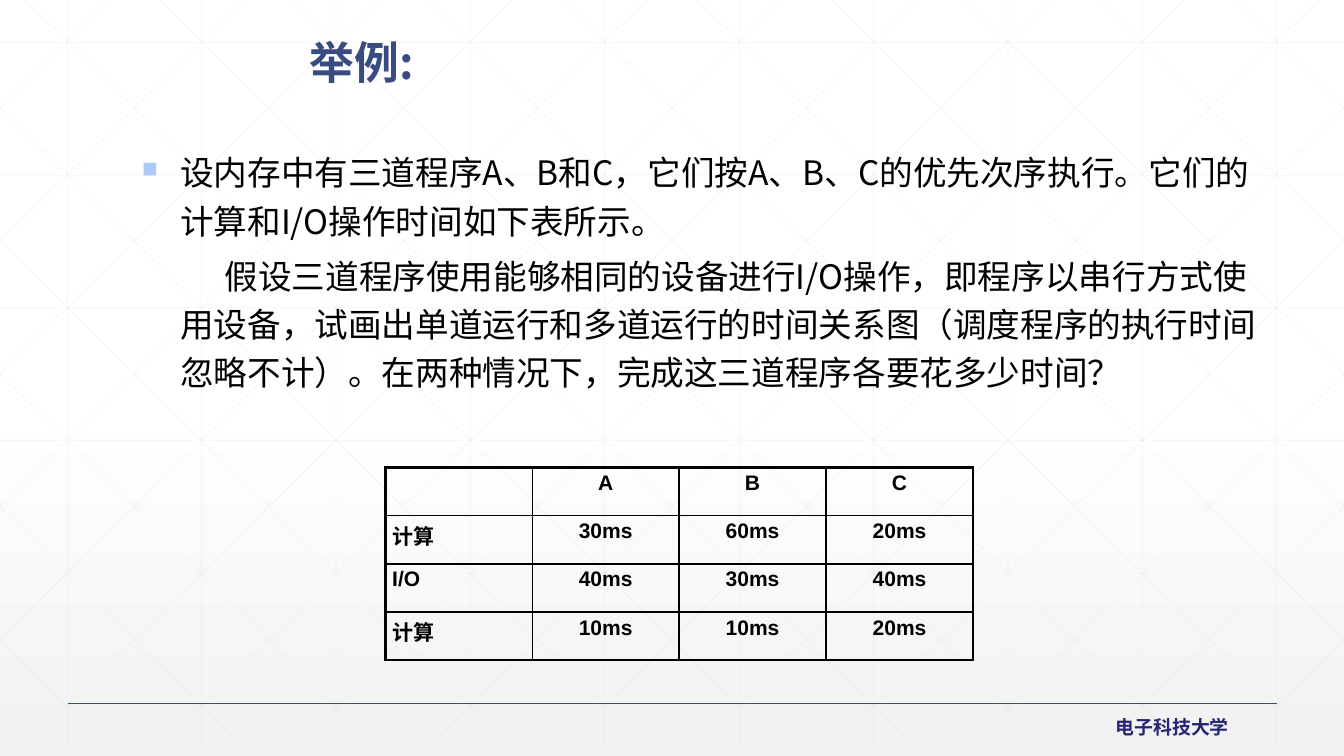
"""Build a slide that poses a multiprogramming exercise with a table of run times."""
from dataclasses import dataclass

from lxml import etree
from pptx import Presentation
from pptx.dml.color import RGBColor
from pptx.enum.shapes import MSO_CONNECTOR
from pptx.enum.text import MSO_ANCHOR, PP_ALIGN
from pptx.oxml import parse_xml
from pptx.oxml.ns import nsdecls, qn
from pptx.util import Inches, Pt

LEFT, CENTER = PP_ALIGN.LEFT, PP_ALIGN.CENTER
TOP, MIDDLE = MSO_ANCHOR.TOP, MSO_ANCHOR.MIDDLE
STRAIGHT = MSO_CONNECTOR.STRAIGHT

TITLE = "举例:"
QUESTION = [
    {"text": "设内存中有三道程序A、B和C，它们按A、B、C的优先次序执行。它们的计算和I/O操作时间如下表所示。",
     "bullet": "■", "indent": -0.38},
    {"text": "假设三道程序使用能够相同的设备进行I/O操作，即程序以串行方式使用设备，试画出单道运行和多道运行的"
             "时间关系图（调度程序的执行时间忽略不计）。在两种情况下，完成这三道程序各要花多少时间？",
     "indent": 0.44, "before": 4.8},
]
TIMES = [
    ["", "A", "B", "C"],
    ["计算", "30ms", "60ms", "20ms"],
    ["I/O", "40ms", "30ms", "40ms"],
    ["计算", "10ms", "10ms", "20ms"],
]
SCHOOL = "电子科技大学"


@dataclass(frozen=True)
class Theme:
    """Colours, fonts and sizes."""
    cjk: str = "Noto Sans CJK SC"
    latin: str = "Arial"
    accent: str = "384C81"
    footer: str = "262673"
    ink: str = "000000"
    bullet: str = "ACCBF9"
    mesh: str = "D9D9D9"
    page: str = "FFFFFF"
    shade: str = "F2F2F2"
    title_size: float = 32
    body_size: float = 24
    cell_size: float = 15
    footer_size: float = 13.5
    thin: float = 1
    rule: float = 1.25
    thick: float = 2.25


THEME = Theme()
WIDTH, HEIGHT = 13.33, 7.5
MESH_BOTTOM = 7.37
MESH_STEP = WIDTH / 10
MESH_ROW = 1.316
DIAGONAL_START, DIAGONAL_RUN = 0.25, 7.45


def write(frame, text, *, size, font=THEME.cjk, color=THEME.ink, bold=False, align=LEFT,
          spacing=1.0, before=0, bullet=None, margin=0, indent=0, new=False):
    """Write one formatted paragraph into a text frame."""
    paragraph = frame.add_paragraph() if new else frame.paragraphs[0]
    properties = paragraph._p.get_or_add_pPr()
    properties.set("marL", str(Inches(margin)))
    properties.set("indent", str(Inches(indent)))
    paragraph.alignment = align
    paragraph.line_spacing = spacing
    paragraph.space_before = Pt(before)
    if bullet:
        color_node = etree.SubElement(properties, qn("a:buClr"))
        etree.SubElement(color_node, qn("a:srgbClr"), val=THEME.bullet)
        etree.SubElement(properties, qn("a:buSzPct"), val="65000")
        etree.SubElement(properties, qn("a:buChar"), char=bullet)
    run = paragraph.add_run()
    run.text = text
    run.font.size, run.font.bold, run.font.name = Pt(size), bold, font
    run.font.color.rgb = RGBColor.from_string(color)
    etree.SubElement(run._r.get_or_add_rPr(), qn("a:ea"), typeface=THEME.cjk)


def add_box(slide, left, top, width, height, anchor=TOP, wrap=True):
    """Add an empty text box and return its frame."""
    box = slide.shapes.add_textbox(*map(Inches, (left, top, width, height)))
    frame = box.text_frame
    frame.word_wrap, frame.vertical_anchor = wrap, anchor
    return frame


def add_line(slide, start, end, color, width, opacity=None):
    """Draw a straight line between two points."""
    line = slide.shapes.add_connector(STRAIGHT, *map(Inches, (*start, *end)))
    line.line.color.rgb = RGBColor.from_string(color)
    line.line.width = Pt(width)
    properties = line._element.spPr
    if opacity:
        color_node = next(properties.iter(qn("a:srgbClr")))
        etree.SubElement(color_node, qn("a:alpha"), val=str(opacity * 1000))
    etree.SubElement(properties, qn("a:effectLst"))


def shade_background(slide):
    """Fade the page from white to light grey."""
    stops = [(0, THEME.page), (53, THEME.page), (100, THEME.shade)]
    stop_xml = "".join(f'<a:gs pos="{share * 1000}"><a:srgbClr val="{color}"/></a:gs>'
                       for share, color in stops)
    slide.element.find(qn("p:cSld")).insert(0, parse_xml(
        f'<p:bg {nsdecls("p", "a")}><p:bgPr><a:gradFill><a:gsLst>{stop_xml}</a:gsLst>'
        '<a:lin ang="5400000" scaled="0"/></a:gradFill><a:effectLst/></p:bgPr></p:bg>'))


def draw_mesh(slide):
    """Draw the faint grid and its two mirrored sets of diagonals."""
    columns = [MESH_STEP * (index + 0.5) for index in range(10)]
    rows = [0.42 + MESH_ROW * index for index in range(6)]
    segments = [((x, 0), (x, MESH_BOTTOM)) for x in columns]
    segments += [((0, y), (WIDTH, y)) for y in rows]
    slope = MESH_BOTTOM / DIAGONAL_RUN
    for index in range(-5, 10):
        origin = DIAGONAL_START + MESH_STEP * index
        left, right = max(origin, 0), min(origin + DIAGONAL_RUN, WIDTH)
        top, bottom = (left - origin) * slope, (right - origin) * slope
        segments.append(((left, top), (right, bottom)))
        segments.append(((WIDTH - left, top), (WIDTH - right, bottom)))
    for start, end in segments:
        add_line(slide, start, end, THEME.mesh, 0.5, opacity=25)


def set_borders(cell, widths):
    """Set the left, right, top and bottom borders of a cell."""
    properties = cell._tc.get_or_add_tcPr()
    for position, (side, width) in enumerate(zip("LRTB", widths)):
        properties.insert(position, parse_xml(
            f'<a:ln{side} {nsdecls("a")} w="{Pt(width)}"><a:solidFill>'
            f'<a:srgbClr val="{THEME.ink}"/></a:solidFill></a:ln{side}>'))


def add_times(slide):
    """Add the table of computing and I/O times."""
    row_count, column_count = len(TIMES), len(TIMES[0])
    table = slide.shapes.add_table(row_count, column_count,
                                   *map(Inches, (3.82, 4.64, 5.83, 1.91))).table
    table.first_row = table.horz_banding = False
    for row, values in enumerate(TIMES):
        for column, value in enumerate(values):
            cell = table.cell(row, column)
            cell.fill.background()
            cell.margin_left = cell.margin_right = Inches(0.07)
            cell.margin_top = cell.margin_bottom = Inches(0.04)
            edges = (column == 0, column == column_count - 1, row == 0, row == row_count - 1)
            set_borders(cell, [THEME.thick if edge else THEME.thin for edge in edges])
            if value:
                write(cell.text_frame, value, size=THEME.cell_size, font=THEME.latin,
                      bold=True, align=CENTER if column else LEFT)


def main():
    presentation = Presentation()
    presentation.slide_width, presentation.slide_height = Inches(WIDTH), Inches(HEIGHT)
    slide = presentation.slides.add_slide(presentation.slide_layouts[6])
    shade_background(slide)
    draw_mesh(slide)
    add_line(slide, (0.67, 6.98), (12.67, 6.98), THEME.accent, THEME.rule)
    write(add_box(slide, 10.97, 7.05, 1.34, 0.33, wrap=False), SCHOOL,
          size=THEME.footer_size, color=THEME.footer, bold=True)
    question = add_box(slide, 1.31, 1.38, 11.36, 2.93)
    for index, item in enumerate(QUESTION):
        write(question, size=THEME.body_size, margin=0.38, spacing=1.2, new=index > 0, **item)
    add_times(slide)
    write(add_box(slide, 2.97, 0.38, 6.15, 0.53, anchor=MIDDLE), TITLE,
          size=THEME.title_size, color=THEME.accent, bold=True, spacing=0.9)
    presentation.save("out.pptx")


if __name__ == "__main__":
    main()
